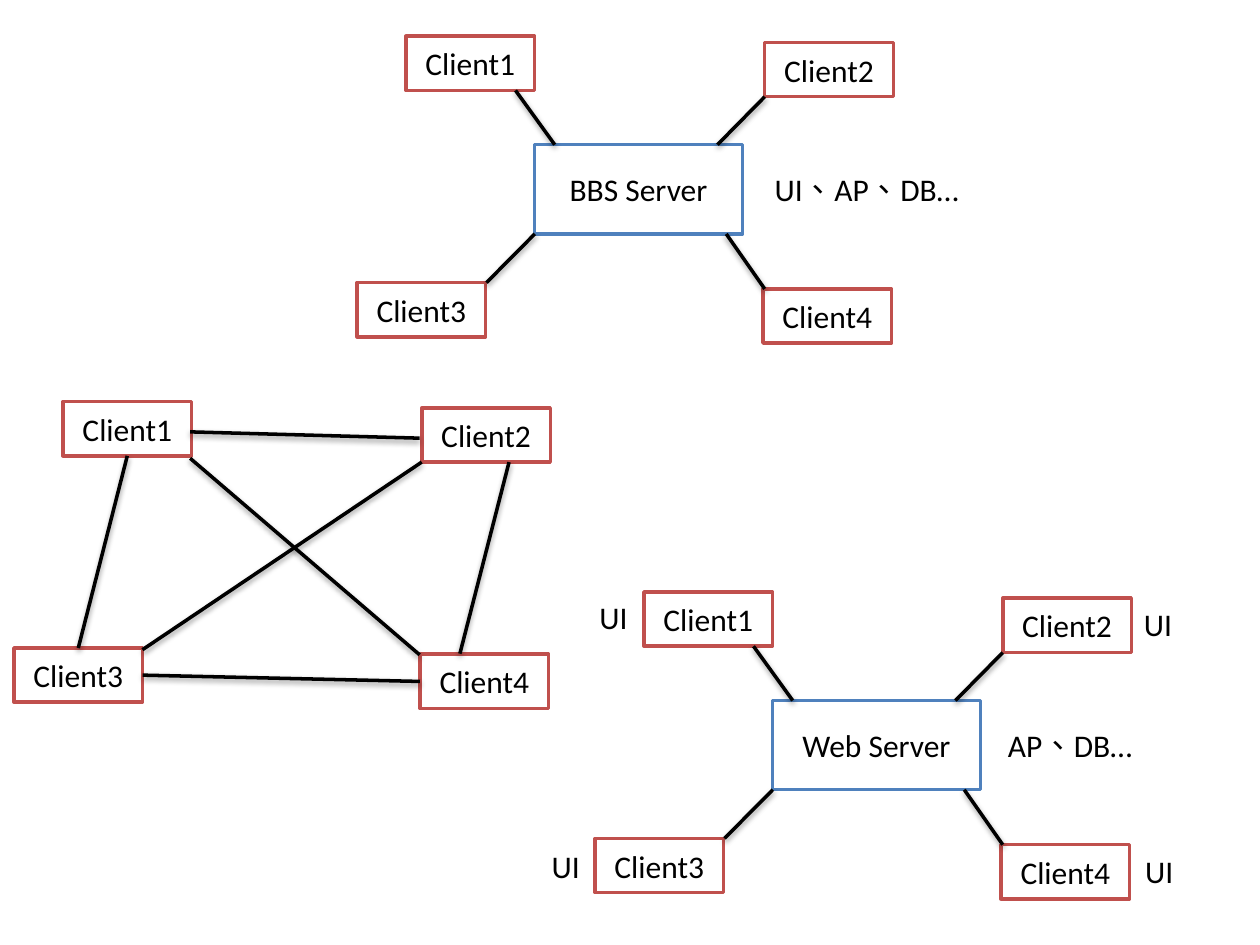
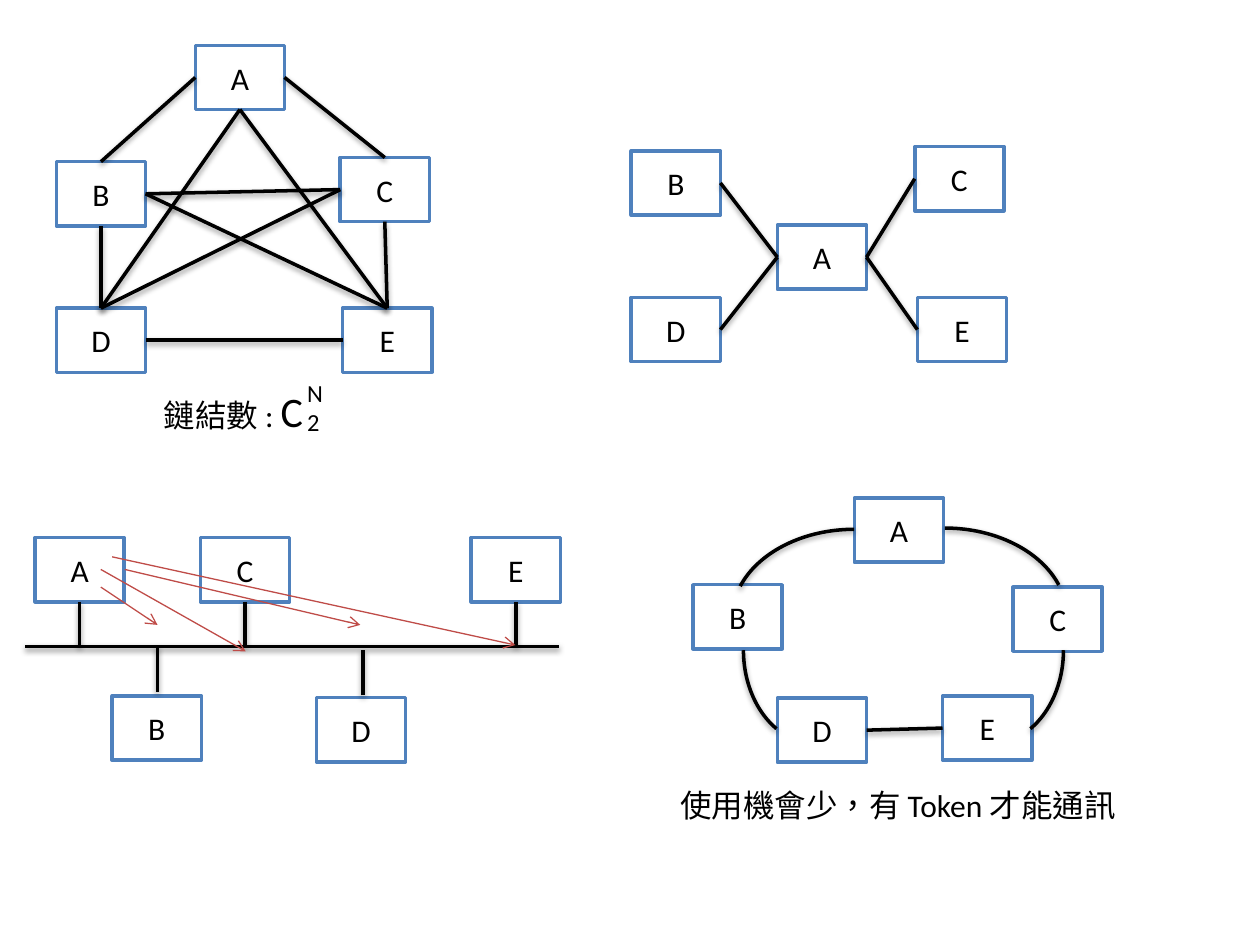
from pptx import Presentation
from pptx.dml.color import RGBColor
from pptx.enum import shapes, text
from pptx.oxml import parse_xml
from pptx.oxml.ns import nsdecls
from pptx.util import Pt

BLUE, RED, ARROW_RED = "4F81BD", "C0504D", "BF4C48"
BLACK, WHITE = "000000", "FFFFFF"
SHADOW = ('<a:outerShdw blurRad="40000" dist="20000" dir="5400000" rotWithShape="0">'
          '<a:srgbClr val="000000"><a:alpha val="38000"/></a:srgbClr></a:outerShdw>')
rgb = RGBColor.from_string


def node(s, x, y, w, h, words, border=None, size=18):
    """Add an outlined box, or a plain label when no border is given."""
    frame = Pt(x), Pt(y), Pt(w), Pt(h)
    if border:
        sp = s.shapes.add_shape(shapes.MSO_SHAPE.RECTANGLE, *frame)
        sp.shadow.inherit = False
        sp.fill.solid()
        sp.fill.fore_color.rgb = rgb(WHITE)
        sp.line.color.rgb = rgb(border)
        sp.line.width = Pt(2)
    else:
        sp = s.shapes.add_textbox(*frame)
    tf = sp.text_frame
    tf.text = words
    tf.word_wrap = words != "UI"
    tf.vertical_anchor = text.MSO_ANCHOR.MIDDLE if border else text.MSO_ANCHOR.TOP
    for p in tf.paragraphs:
        p.alignment = text.PP_ALIGN.CENTER if border else text.PP_ALIGN.LEFT
        p.font.name, p.font.size = "Calibri", Pt(size)
        p.font.color.rgb = rgb(BLACK)
        for r in p.runs:
            r._r.get_or_add_rPr().set("lang", "zh-TW")
    return sp


def stroke(sp, colour=BLACK, width=2, effect=SHADOW):
    """Style a connector or an arc."""
    sp.line.color.rgb = rgb(colour)
    sp.line.width = Pt(width)
    sp.element.spPr.append(
        parse_xml(f'<a:effectLst {nsdecls("a")}>{effect}</a:effectLst>'))


prs = Presentation()
prs.slide_width, prs.slide_height = Pt(720), Pt(540)
clients_slide, topologies_slide = [prs.slides.add_slide(prs.slide_layouts[6])
                                   for _ in range(2)]
wires = []  # (slide, start, end); an end is a point or (shape, site)

# Slide 1: three groups of four clients, two of them around a server
s = clients_slide
client_offsets = [(0, 0), (205, 3.6), (-28, 140.8), (204, 144.4)]
server_links = [((62.6, 31), (85, 62)), ((183, 113), (205, 144.4)),
                ((205, 34.6), (178, 62)), ((73.6, 113), (46, 140.8))]
mesh_links = [((254.9, 34.6), (226.8, 144)), ((203.8, 20.9), (72.7, 17.3)),
              ((203.8, 144.7), (72.7, 32.4)), ((205, 34.6), (45.4, 141.8))]
groups = [
    (232, 20.7, "BBS Server", "UI、AP、DB…", 435.6, server_links),
    (368, 338.3, "Web Server", "AP、DB…", 568.8, server_links),
    (36, 229.5, None, None, None, mesh_links),
]
for x, y, server, duties, duties_x, links in groups:
    if server:
        node(s, x + 73.4, y + 62, 119, 51, server, BLUE)
        node(s, duties_x, y + 73, 147.6, 29, duties)
    clients = [node(s, x + dx, y + dy, 73.5, 31, f"Client{i}", RED)
               for i, (dx, dy) in enumerate(client_offsets, 1)]
    wires += [(s, (x + ax, y + ay), (x + bx, y + by))
              for (ax, ay), (bx, by) in links]
    if not server:
        wires += [(s, (clients[0], 2), (clients[2], 0)),
                  (s, (clients[3], 1), (clients[2], 3))]

for x, y in [(335.5, 338.4), (308.2, 480.2), (646.6, 342), (647.3, 483.1)]:
    node(s, x, y, 31, 29, "UI")

# Slide 2: box corners for A to E in each topology, then its links
s = topologies_slide
topologies = [
    # Full mesh
    ([(111.6, 25.9), (32.2, 92.4), (194.4, 90), (32.2, 176.1), (195.8, 176.1)],
     "B0A1 B2D0 D3E1 A3C0 C2E0 A2E0 A2D0 B3C1 B3E0 C1D0"),
    # Star
    ([(444.2, 128.6), (360.7, 86.2), (522.7, 83.8), (360.7, 170), (524.2, 170)],
     "B3A1 D3A1 A3E1 C1A3"),
    # Ring
    ([(488.2, 284.6), (396, 334.1), (578.9, 335.5), (444.2, 398.9), (538.6, 397.7)],
     "D3E1"),
    # Bus
    ([(20, 307.2), (64.1, 397.7), (114.5, 307.2), (180.8, 398.7), (269.3, 307.2)],
     ""),
]
for corners, links in topologies:
    boxes = {name: node(s, x, y, 51, 36.7, name, BLUE)
             for name, (x, y) in zip("ABCDE", corners)}
    wires += [(s, (boxes[a], int(i)), (boxes[b], int(j)))
              for a, i, b, j in links.split()]

# Bus line and its drops; boxes now holds the bus stations
bus_y = 369.4
wires += [(s, (14.4, bus_y), (319.7, bus_y)),
          (s, (90, 395.3), (90, bus_y)), (s, (207.4, 397.4), (207.4, 371.5))]
wires += [(s, (boxes[name], 2), (x, bus_y))
          for name, x in [("A", 45.5), ("C", 140), ("E", 294.8)]]

# Draw all links
for s, start, end in wires:
    c = s.shapes.add_connector(shapes.MSO_CONNECTOR.STRAIGHT, 0, 0, 0, 0)
    if isinstance(start[0], (int, float)):
        c.begin_x, c.begin_y = map(Pt, start)
    else:
        c.begin_connect(*start)
    if isinstance(end[0], (int, float)):
        c.end_x, c.end_y = map(Pt, end)
    else:
        c.end_connect(*end)
    stroke(c)

# Curved links of the ring: frame, rotation, flips, start and end in degrees
s = topologies_slide
upper, lower = (285.94, 0), (270, 333.69)
arcs = [
    (437, 283.7, 102.2, 139.7, 270, "", upper),
    (412.6, 330.5, 106.6, 82.1, 90, "V", lower),
    (488.9, 283, 102.2, 139.7, 90, "H", upper),
    (513.4, 330.5, 106.6, 82.1, 270, "HV", lower),
]
for x, y, w, h, rotation, flips, angles in arcs:
    sp = s.shapes.add_shape(shapes.MSO_SHAPE.ARC, Pt(x), Pt(y), Pt(w), Pt(h))
    for i, angle in enumerate(angles):
        sp.adjustments[i] = angle * 0.6
    sp.rotation = rotation
    for axis in flips:
        sp.element.spPr.xfrm.set("flip" + axis, "1")
    sp.fill.background()
    stroke(sp)

# Captions
sp = node(s, 86.4, 216.7, 167, 36, "鏈結數 : ")
r = sp.text_frame.paragraphs[0].add_run()
r.text = "C"
r.font.size = Pt(24)
node(s, 168.5, 212.4, 19.4, 41, "N\n2", size=14)
node(s, 381.6, 445.7, 282.2, 29, "使用機會少，有 Token 才能通訊")

# Broadcast arrows from station A on the bus
for x1, y1, x2, y2 in [(57.6, 335.5, 90, 357.1), (57.6, 325.4, 140.4, 372.2),
                       (71.3, 325.4, 205.9, 357.1), (64.1, 318.2, 294.5, 368.6)]:
    c = s.shapes.add_connector(shapes.MSO_CONNECTOR.STRAIGHT,
                               Pt(x1), Pt(y1), Pt(x2), Pt(y2))
    stroke(c, ARROW_RED, 0.75, "")
    c.line._get_or_add_ln().append(
        parse_xml(f'<a:tailEnd {nsdecls("a")} type="arrow"/>'))

prs.save("out.pptx")
